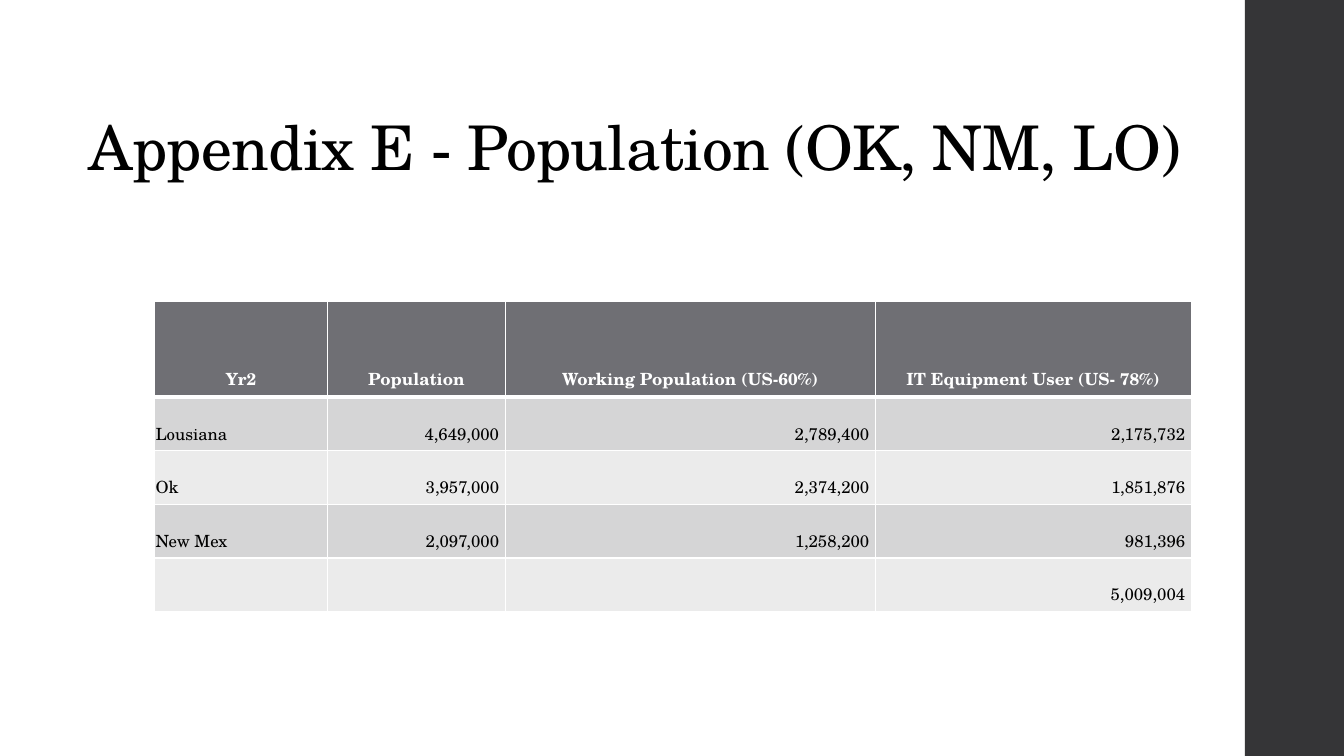
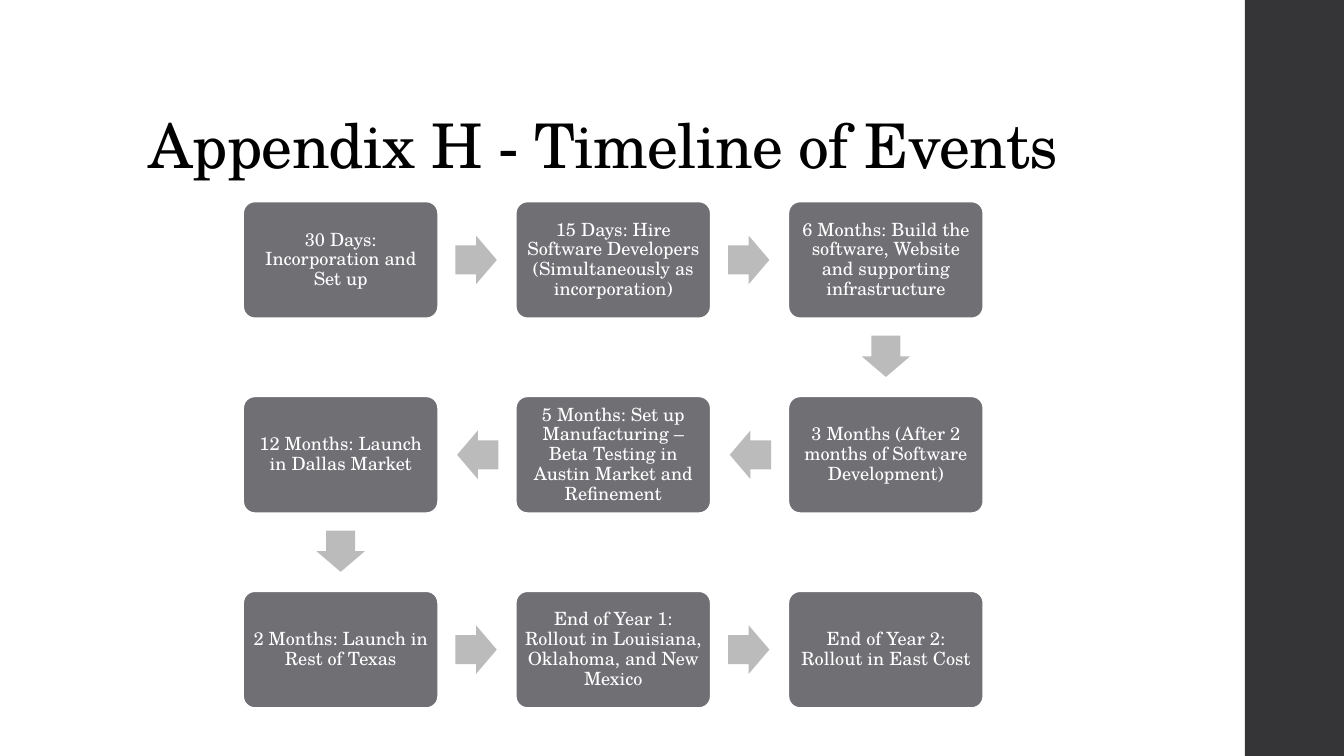
import math
from lxml import etree
from pptx import Presentation
from pptx import util as u
from pptx.dml.color import RGBColor
from pptx.enum import shapes, text
from pptx.oxml import ns

COLORS = {
    "band": "353537",
    "title": "000000",
    "body": "000000",
    "white": "FFFFFF",
    "box": "6F6F74",
    "arrow": "BBBBBC",
    "row_dark": "D5D5D6",
    "row_light": "EBEBEB",
}
COLORS_RGB = {name: RGBColor.from_string(value) for name, value in COLORS.items()}
FONT = "TeX Gyre Schola"

presentation = Presentation()
presentation.slide_width = u.Cm(33.87)
presentation.slide_height = u.Cm(19.05)


def style_paragraph(paragraph, size, color, alignment, bold=False):
    paragraph.alignment = alignment
    paragraph.font.name = FONT
    paragraph.font.size = u.Pt(size)
    paragraph.font.bold = bold
    paragraph.font.color.rgb = COLORS_RGB[color]


def add_shape(slide, kind, left, top, width, height, color):
    shape = slide.shapes.add_shape(kind, u.Cm(left), u.Cm(top), u.Cm(width), u.Cm(height))
    shape.shadow.inherit = False
    shape.fill.solid()
    shape.fill.fore_color.rgb = COLORS_RGB[color]
    shape.line.fill.background()
    return shape


titles = [
    ("Appendix E - Population (OK, NM, LO)", 1.98, 28.45, 3.73),
    ("Appendix H - Timeline of Events", 3.5, 26.93, 3.69),
]
slides = []
for title, left, width, height in titles:
    slide = presentation.slides.add_slide(presentation.slide_layouts[6])
    add_shape(slide, shapes.MSO_SHAPE.RECTANGLE, 31.37, 0, 2.5, 19.05, "band")
    title_box = slide.shapes.add_textbox(u.Cm(left), u.Cm(1.02), u.Cm(width), u.Cm(height))
    frame = title_box.text_frame
    frame.word_wrap = True
    frame.vertical_anchor = text.MSO_ANCHOR.BOTTOM
    frame.text = title
    paragraph = frame.paragraphs[0]
    paragraph.line_spacing = 0.9
    style_paragraph(paragraph, 44, "title", text.PP_ALIGN.LEFT)
    paragraph._p.get_or_add_pPr().get_or_add_defRPr().set("spc", "-50")
    slides.append(slide)
population_slide, timeline_slide = slides

population_rows = [
    ["Yr2", "Population", "Working Population (US-60%)", "IT Equipment User (US- 78%)"],
    ["Lousiana", "4,649,000", "2,789,400", "2,175,732"],
    ["Ok", "3,957,000", "2,374,200", "1,851,876"],
    ["New Mex", "2,097,000", "1,258,200", "981,396"],
    ["", "", "", "5,009,004"],
]
column_widths = [4.37, 4.47, 9.33, 7.96]
row_heights = [2.41] + [1.35] * 4
table = population_slide.shapes.add_table(
    len(row_heights), len(column_widths), u.Cm(3.89), u.Cm(7.6),
    u.Cm(sum(column_widths)), u.Cm(sum(row_heights)),
).table
for column, width in zip(table.columns, column_widths):
    column.width = u.Cm(width)
for row, height in zip(table.rows, row_heights):
    row.height = u.Cm(height)

for row_index, values in enumerate(population_rows):
    is_header = row_index == 0
    fill = "box" if is_header else ("row_light", "row_dark")[row_index % 2]
    for column_index, value in enumerate(values):
        is_number = not is_header and column_index > 0
        cell = table.cell(row_index, column_index)
        cell.vertical_anchor = text.MSO_ANCHOR.BOTTOM
        cell.margin_left = cell.margin_top = u.Cm(0.03)
        cell.margin_right = u.Cm(0.15 if is_number else 0.03)
        cell.margin_bottom = u.Cm(0.13)
        cell.text = value
        if is_header:
            alignment = text.PP_ALIGN.CENTER
        else:
            alignment = text.PP_ALIGN.RIGHT if is_number else text.PP_ALIGN.LEFT
        style_paragraph(cell.text_frame.paragraphs[0], 12,
                        "white" if is_header else "body", alignment, is_header)
        cell.fill.solid()
        cell.fill.fore_color.rgb = COLORS_RGB[fill]
        properties = cell._tc.get_or_add_tcPr()
        for position, side in enumerate(("lnL", "lnR", "lnT", "lnB")):
            is_header_rule = (row_index, side) in ((0, "lnB"), (1, "lnT"))
            border = etree.Element(ns.qn("a:" + side), w=str(u.Pt(3 if is_header_rule else 1)))
            border_fill = etree.SubElement(border, ns.qn("a:solidFill"))
            etree.SubElement(border_fill, ns.qn("a:srgbClr"), val=COLORS["white"])
            properties.insert(position, border)

events = [
    "30 Days: Incorporation and Set up",
    "15 Days: Hire Software Developers (Simultaneously as incorporation)",
    "6 Months: Build the software, Website and supporting infrastructure",
    "3 Months (After 2 months of Software Development)",
    "5 Months: Set up Manufacturing – Beta Testing in Austin Market and Refinement",
    "12 Months: Launch in Dallas Market",
    "2 Months: Launch in Rest of Texas",
    "End of Year 1: Rollout in Louisiana, Oklahoma, and New Mexico",
    "End of Year 2: Rollout in East Cost",
]
grid_left, grid_top = 6.13, 5.08
step_x, step_y = 6.87, 4.91
box_width, box_height = 4.91, 2.94
arrow_length, arrow_height, arrow_reach = 1.04, 1.22, 0.96
places = [(column if row % 2 == 0 else 2 - column, row) for row in range(3) for column in range(3)]

for index, event in enumerate(events):
    column, row = places[index]
    left, top = grid_left + column * step_x, grid_top + row * step_y
    box = add_shape(timeline_slide, shapes.MSO_SHAPE.ROUNDED_RECTANGLE,
                    left, top, box_width, box_height, "box")
    box.adjustments[0] = 0.1
    box.line.color.rgb = COLORS_RGB["white"]
    box.line.width = u.Pt(1.1)
    frame = box.text_frame
    frame.word_wrap = True
    frame.vertical_anchor = text.MSO_ANCHOR.MIDDLE
    frame.margin_left = frame.margin_right = u.Cm(0.13)
    frame.margin_top = frame.margin_bottom = u.Cm(0.13)
    frame.text = event
    paragraph = frame.paragraphs[0]
    paragraph.line_spacing = 0.9
    style_paragraph(paragraph, 13, "white", text.PP_ALIGN.CENTER)

    if index + 1 < len(events):
        next_column, next_row = places[index + 1]
        across, down = next_column - column, next_row - row
        center_x = left + box_width / 2 + across * (box_width / 2 + arrow_reach)
        center_y = top + box_height / 2 + down * (box_height / 2 + arrow_reach)
        arrow = add_shape(timeline_slide, shapes.MSO_SHAPE.RIGHT_ARROW,
                          center_x - arrow_length / 2, center_y - arrow_height / 2,
                          arrow_length, arrow_height, "arrow")
        arrow.adjustments[0] = 0.6
        arrow.adjustments[1] = 0.5
        arrow.rotation = math.degrees(math.atan2(down, across))

presentation.save("out.pptx")
